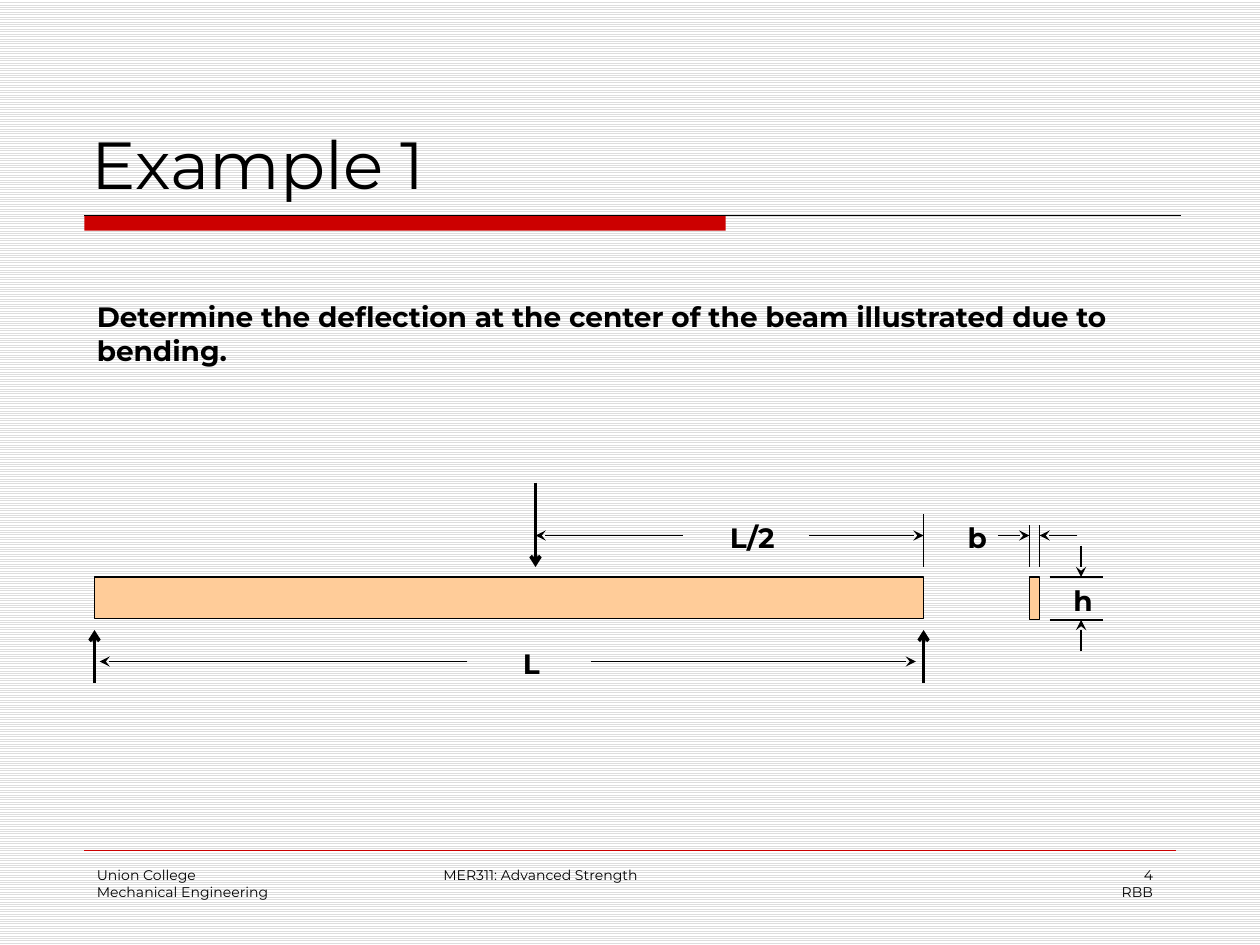
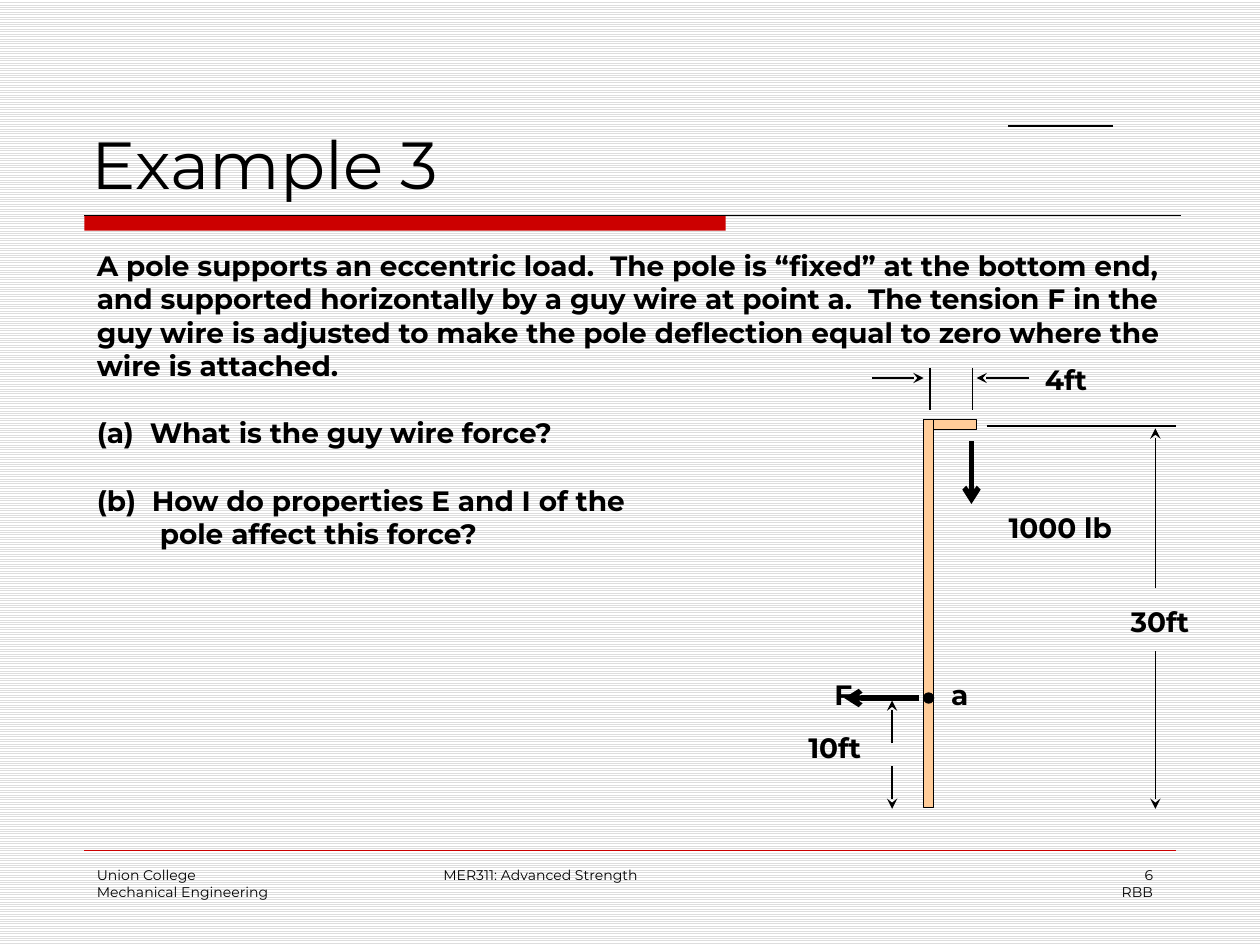
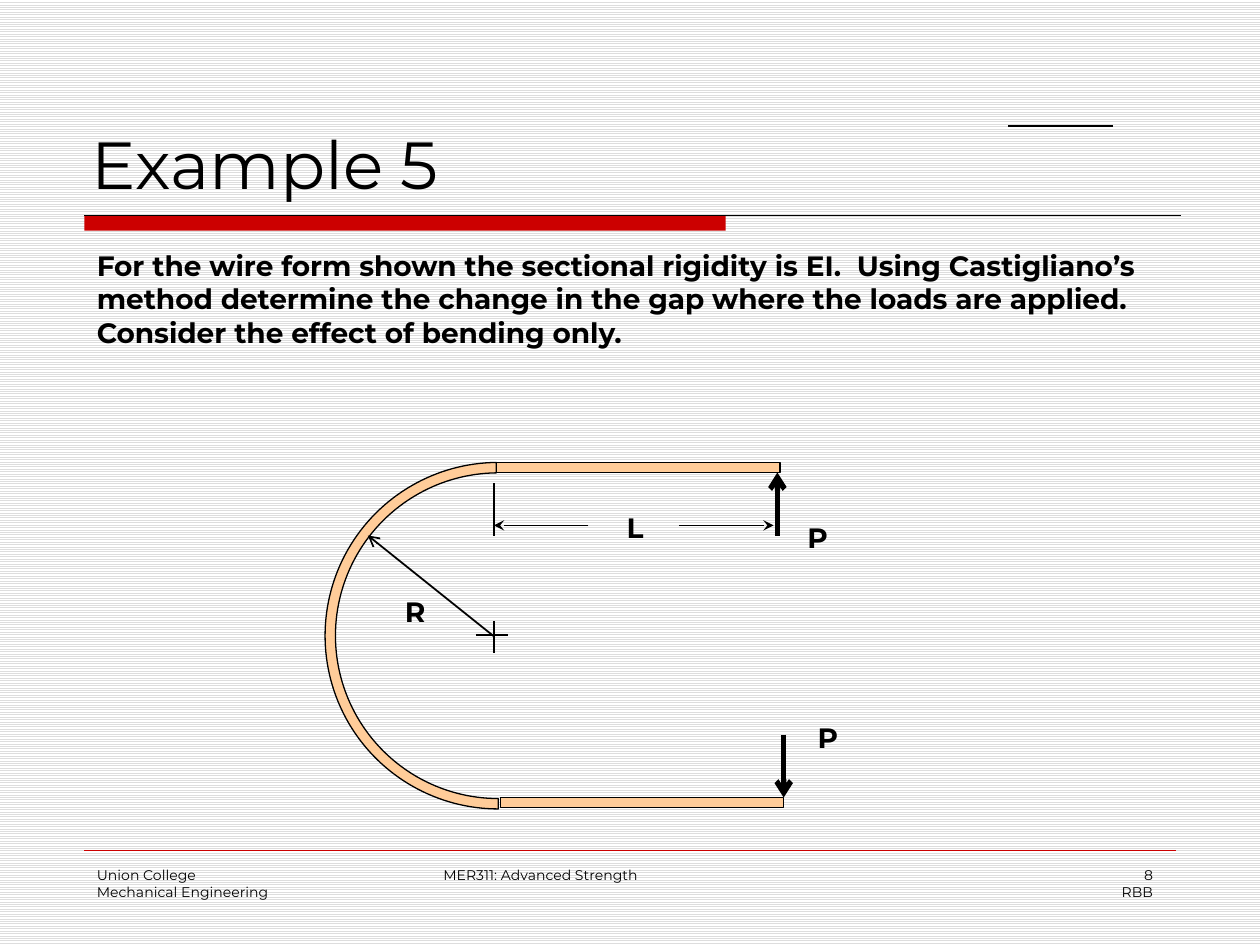
"""Build three slides of beam bending examples."""
from dataclasses import dataclass

from lxml.etree import SubElement
from pptx import Presentation
from pptx.dml.color import RGBColor
from pptx.enum.dml import MSO_PATTERN as Pattern
from pptx.enum.shapes import MSO_CONNECTOR as Link, MSO_SHAPE as Form
from pptx.enum.text import MSO_ANCHOR as Anchor, PP_ALIGN as Align
from pptx.oxml.ns import qn
from pptx.util import Inches, Pt

FONT = "Montserrat"
BLACK, RED, PEACH = "000000", "CC0000", "FFCC99"
GREY, WHITE = "DDDDDD", "FFFFFF"
BODY, SMALL, HEAD = 16, 8, 38
COURSE = "MER311: Advanced Strength"
SCHOOL = ["Union College", "Mechanical Engineering"]


@dataclass
class Line:
    """A straight line with an optional arrowhead at its end."""
    x1: float
    y1: float
    x2: float
    y2: float
    head: str = ""
    width: float = 0.75
    color: str = BLACK


@dataclass
class Part:
    """A filled preset shape."""
    x: float
    y: float
    w: float
    h: float
    form: Form = Form.RECTANGLE
    fill: str = PEACH
    edge: str = BLACK
    turn: float = 0
    tune: tuple = ()


@dataclass
class Label:
    """A short bold caption centred on its box."""
    text: str
    x: float
    y: float
    w: float


@dataclass
class Note:
    """A block of bold text; hang indents its last paragraph."""
    paras: list
    y: float
    w: float
    h: float
    hang: float = 0


@dataclass
class Page:
    """The content of one slide."""
    title: str
    number: str
    items: list


def paint(code: str) -> RGBColor:
    """Turn a hex string into a colour."""
    return RGBColor.from_string(code)


def write(para, text: str, size: float, bold: bool = False) -> None:
    """Add one run in the shared font."""
    font_run = para.add_run()
    font_run.text = text
    font = font_run.font
    font.name, font.size, font.bold = FONT, Pt(size), bold
    font.color.rgb = paint(BLACK)


def add_text(slide, at: tuple, paras: list, size: float, bold: bool = False,
             align: Align = Align.LEFT, wrap: bool = True):
    """Add a text box and return its frame."""
    frame = slide.shapes.add_textbox(*map(Inches, at)).text_frame
    frame.word_wrap = wrap
    for i, text in enumerate(paras):
        para = frame.add_paragraph() if i else frame.paragraphs[0]
        para.alignment = align
        write(para, text, size, bold)
    return frame


def add_line(slide, line: Line) -> None:
    """Draw a line or arrow."""
    ends = map(Inches, (line.x1, line.y1, line.x2, line.y2))
    link = slide.shapes.add_connector(Link.STRAIGHT, *ends)
    link.line.width = Pt(line.width)
    link.line.color.rgb = paint(line.color)
    props = link.element.spPr
    if line.head:
        SubElement(props.find(qn("a:ln")), qn("a:tailEnd"), type=line.head)
    SubElement(props, qn("a:effectLst"))


def add_part(slide, part: Part) -> None:
    """Draw a filled shape."""
    at = map(Inches, (part.x, part.y, part.w, part.h))
    shape = slide.shapes.add_shape(part.form, *at)
    shape.shadow.inherit = False
    shape.rotation = part.turn
    for i, value in enumerate(part.tune):
        shape.adjustments[i] = value
    shape.fill.solid()
    shape.fill.fore_color.rgb = paint(part.fill)
    if part.edge:
        shape.line.color.rgb = paint(part.edge)
        shape.line.width = Pt(0.75)
    else:
        shape.line.fill.background()


def add_label(slide, label: Label) -> None:
    """Draw a caption."""
    at = (label.x, label.y, label.w, 0.37)
    add_text(slide, at, [label.text], BODY, True, Align.CENTER, False)


def add_note(slide, note: Note) -> None:
    """Draw a block of text."""
    frame = add_text(slide, (0.67, note.y, note.w, note.h), note.paras, BODY, True)
    for para in frame.paragraphs[1:]:
        para.space_before = Pt(19.5)
    if note.hang:
        props = frame.paragraphs[-1]._p.get_or_add_pPr()
        props.set("marL", str(Inches(note.hang)))
        props.set("indent", str(-Inches(note.hang)))


DRAW = {Line: add_line, Part: add_part, Label: add_label, Note: add_note}


def add_frame(slide, page: Page) -> None:
    """Add the title, bands and footers."""
    add_part(slide, Part(0.67, 1.71, 5.09, 0.12, fill=RED, edge=""))
    add_line(slide, Line(0.67, 1.71, 9.37, 1.71))
    add_line(slide, Line(0.67, 6.75, 9.33, 6.75, width=0.25, color=RED))
    title = slide.shapes.title
    title.left, title.top = Inches(0.63), Inches(0.33)
    title.width, title.height = Inches(8.75), Inches(1.33)
    title.text_frame.vertical_anchor = Anchor.BOTTOM
    para = title.text_frame.paragraphs[0]
    para.alignment = Align.LEFT
    write(para, page.title, HEAD)
    add_text(slide, (0.67, 6.83, 2.08, 0.5), SCHOOL, SMALL)
    add_text(slide, (3.42, 6.83, 3.17, 0.5), [COURSE], SMALL)
    add_text(slide, (7.17, 6.83, 2.08, 0.5), [page.number, "RBB"], SMALL,
             align=Align.RIGHT)


DASH = Line(8, 1, 8.83, 1)

BEAM = Page("Example 1", "4", [
    Part(0.75, 4.58, 6.58, 0.33),
    Part(8.17, 4.58, 0.08, 0.34),
    *[Line(x, 5.42, x, 5, "arrow", 2) for x in (0.75, 7.33)],
    Line(4.25, 3.83, 4.25, 4.5, "arrow", 2),
    Line(3.71, 5.25, 0.79, 5.25, "stealth"),
    Line(4.69, 5.25, 7.27, 5.25, "stealth"),
    Label("L", 4.15, 5.08, 0.05),
    Line(7.33, 4.5, 7.33, 4.08),
    Line(6.42, 4.25, 7.33, 4.25, "stealth"),
    Line(5.42, 4.25, 4.25, 4.25, "stealth"),
    Label("L/2", 5.69, 4.08, 0.56),
    *[Line(x, 4.5, x, 4.17) for x in (8.17, 8.25)],
    *[Line(8.33, y, 8.75, y) for y in (4.58, 4.92)],
    Line(8.55, 4.25, 8.25, 4.25, "stealth"),
    Line(7.92, 4.25, 8.17, 4.25, "stealth"),
    Line(8.58, 4.33, 8.58, 4.58, "stealth"),
    Line(8.58, 5.17, 8.58, 4.92, "stealth"),
    Label("b", 7.58, 4.08, 0.35),
    Label("h", 8.42, 4.58, 0.35),
    Note(["Determine the deflection at the center of the beam illustrated "
          "due to bending."], 2.33, 8.67, 0.64),
])

POLE = Page("Example 3", "6", [
    Note(["A pole supports an eccentric load.  The pole is “fixed” at the "
          "bottom end, and supported horizontally by a guy wire at point a.  "
          "The tension F in the guy wire is adjusted to make the pole "
          "deflection equal to zero where the wire is attached."],
         1.92, 8.67, 1.18),
    Part(7.33, 3.33, 0.42, 0.08),
    Part(7.33, 3.33, 0.08, 3.08),
    Part(7.33, 5.5, 0.08, 0.08, Form.OVAL, BLACK),
    Label("a", 7.45, 5.33, 0.25),
    Label("30ft", 8.83, 4.75, 0.75),
    Label("10ft", 6.25, 5.75, 0.75),
    Line(6.92, 3, 7.33, 3, "stealth"),
    Line(8.17, 3, 7.75, 3, "stealth"),
    Label("F", 6.55, 5.33, 0.17),
    Line(7.29, 5.54, 6.7, 5.54, "arrow", 3),
    Label("4ft", 8.17, 2.83, 0.58),
    Line(7.71, 3.5, 7.71, 4, "arrow", 3),
    DASH,
    Line(9.17, 4.67, 9.17, 3.4, "stealth"),
    Line(9.17, 5.17, 9.17, 6.42, "stealth"),
    Label("1000 lb", 7.83, 4, 1.17),
    Line(7.83, 3.38, 9.33, 3.38),
    Line(7.08, 5.9, 7.08, 5.56, "stealth"),
    Line(7.08, 6.08, 7.08, 6.42, "stealth"),
    *[Line(x, 3.25, x, 2.92) for x in (7.38, 7.72)],
    Note(["(a)  What is the guy wire force?",
          "(b)  How do properties E and I of the pole affect this force?"],
         3.25, 4.92, 1.18, 0.5),
])

WIRE = Page("Example 5", "8", [
    Note(["For the wire form shown the sectional rigidity is EI.  Using "
          "Castigliano’s method determine the change in the gap where the "
          "loads are applied.  Consider the effect of bending only."],
         1.92, 8.67, 0.91),
    Label("P", 6.31, 4.08, 0.25),
    Label("L", 4.75, 4, 0.58),
    Line(6.22, 5.83, 6.22, 6.33, "arrow", 3),
    DASH,
    Line(3.92, 4.25, 3.92, 3.83, width=1.25),
    Label("R", 2.92, 4.67, 0.75),
    Part(2.58, 3.67, 2.75, 2.75, Form.BLOCK_ARC, turn=270,
         tune=(108, 215.59, 0.03)),
    Part(3.94, 3.67, 2.25, 0.08),
    Part(3.97, 6.33, 2.25, 0.08),
    Line(6.17, 4.25, 6.17, 3.75, "arrow", 3),
    Label("P", 6.39, 5.67, 0.25),
    Line(5.39, 4.17, 6.14, 4.17, "stealth", 1),
    Line(4.67, 4.17, 3.92, 4.17, "stealth", 1),
    Line(3.78, 5.04, 4.03, 5.04),
    Line(3.92, 4.93, 3.92, 5.18),
    Line(3.92, 5.05, 2.92, 4.25, "arrow", 1),
])


def main() -> None:
    """Build and save the slides."""
    deck = Presentation()
    deck.slide_width, deck.slide_height = Inches(10), Inches(7.5)
    back = deck.slide_master.background.fill
    back.patterned()
    back.pattern = Pattern.LIGHT_HORIZONTAL
    back.fore_color.rgb = paint(GREY)
    back.back_color.rgb = paint(WHITE)
    for page in (BEAM, POLE, WIRE):
        slide = deck.slides.add_slide(deck.slide_layouts[5])
        add_frame(slide, page)
        for item in page.items:
            DRAW[type(item)](slide, item)
    deck.save("out.pptx")


if __name__ == "__main__":
    main()
